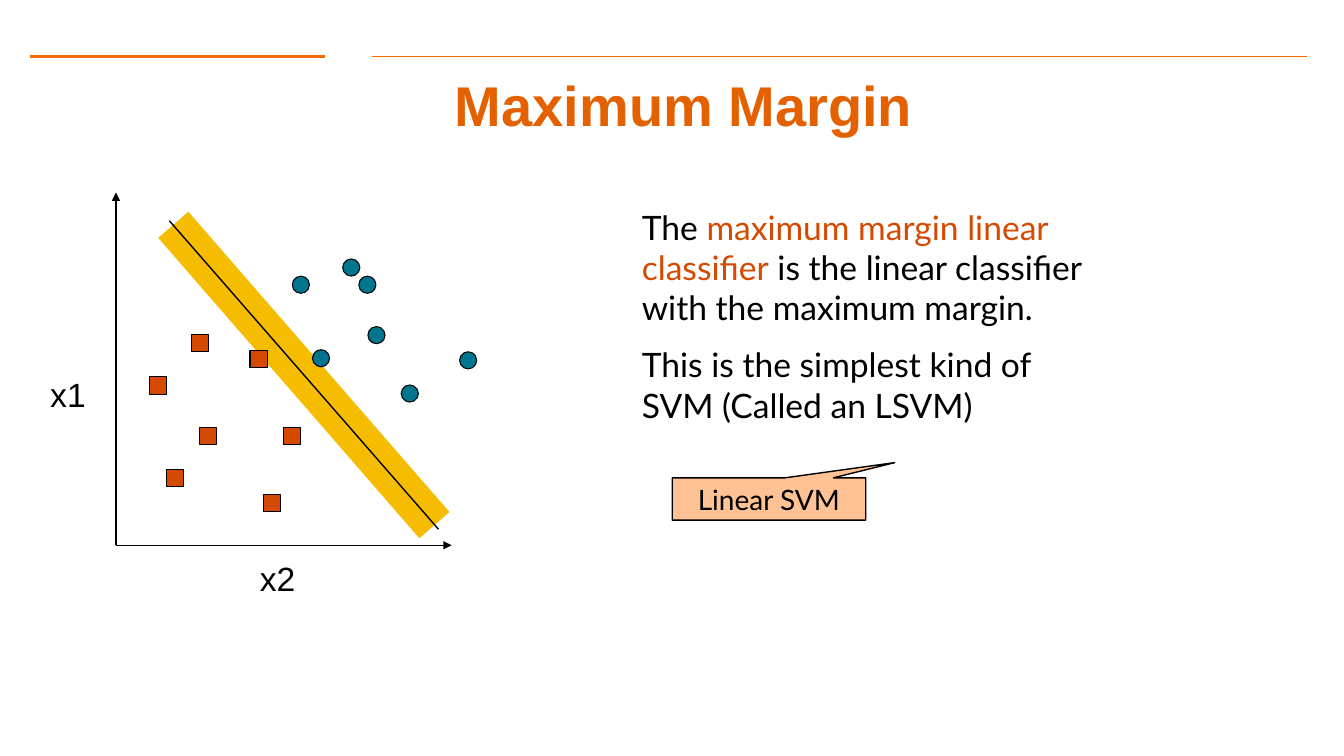
import pptx
import pptx.util
import pptx.dml.color
import pptx.enum.shapes
import pptx.enum.text
import pptx.oxml.ns
from lxml import etree

Pt = pptx.util.Pt
SHAPES = pptx.enum.shapes.MSO_SHAPE
ALIGN = pptx.enum.text.PP_ALIGN
ANCHOR = pptx.enum.text.MSO_ANCHOR

COLORS = {
    "rule": "F66900",
    "title": "E46102",
    "text": "000000",
    "square": "D64900",
    "circle": "00758E",
    "margin": "F6BD00",
    "callout": "FFC295",
}
MARKER_SIZE = 12.24
SQUARES = [
    (106.6, 269.3), (202.3, 305.3), (187.9, 353.5), (142.6, 305.3),
    (118.8, 335.5), (136.8, 239), (178.6, 250.6),
]
CIRCLES = [
    (256.3, 197.3), (328.3, 251.3), (286.6, 275), (262.8, 233.3),
    (244.8, 185), (208.8, 197.3), (223.2, 249.8),
]


def color(name):
    return pptx.dml.color.RGBColor.from_string(COLORS[name])


def set_font(font, name, size, color_name, bold=False):
    font.name = name
    font.size = Pt(size)
    font.bold = bold
    font.color.rgb = color(color_name)


def add_line(slide, start, end, color_name, width, arrow=False):
    connector = slide.shapes.add_connector(
        pptx.enum.shapes.MSO_CONNECTOR.STRAIGHT,
        *(Pt(value) for value in start + end),
    )
    connector.line.color.rgb = color(color_name)
    connector.line.width = Pt(width)
    if arrow:
        outline = connector.line._get_or_add_ln()
        etree.SubElement(outline, pptx.oxml.ns.qn("a:tailEnd"), type="triangle")
    properties = connector._element.spPr
    etree.SubElement(properties, pptx.oxml.ns.qn("a:effectLst"))


def add_shape(slide, kind, box, fill, line_width):
    shape = slide.shapes.add_shape(kind, *(Pt(value) for value in box))
    shape.shadow.inherit = False
    shape.fill.solid()
    shape.fill.fore_color.rgb = color(fill)
    shape.line.color.rgb = color("text")
    shape.line.width = Pt(line_width)
    return shape


def add_markers(slide, kind, positions, fill):
    for left, top in positions:
        add_shape(slide, kind, (left, top, MARKER_SIZE, MARKER_SIZE), fill, 0.75)


def add_text_box(slide, box):
    frame = slide.shapes.add_textbox(*(Pt(value) for value in box)).text_frame
    frame.word_wrap = True
    return frame


def add_title(slide, text):
    frame = add_text_box(slide, (56.2, 54.7, 864, 39.6))
    frame.vertical_anchor = ANCHOR.MIDDLE
    paragraph = frame.paragraphs[0]
    paragraph.text = text
    paragraph.alignment = ALIGN.CENTER
    set_font(paragraph.font, "Arial", 40, "title", bold=True)


def add_axis_label(slide, text, left, top):
    paragraph = add_text_box(slide, (left, top, 47.5, 36)).paragraphs[0]
    paragraph.text = text
    set_font(paragraph.font, "Arial", 24, "text")


def add_explanation(slide):
    frame = add_text_box(slide, (451.4, 144, 329.8, 196.6))
    definition = frame.paragraphs[0]
    for text, color_name in (
        ("The ", "text"),
        ("maximum margin linear classifier", "square"),
        (" is the linear classifier with the maximum margin.", "text"),
    ):
        run = definition.add_run()
        run.text = text
        set_font(run.font, "Lato", 24, color_name)
    remark = frame.add_paragraph()
    remark.text = "This is the simplest kind of SVM (Called an LSVM)"
    remark.space_before = Pt(12)
    set_font(remark.font, "Lato", 24, "text")


def add_callout(slide, text):
    callout = add_shape(
        slide, SHAPES.RECTANGULAR_CALLOUT, (480.2, 341.3, 138.2, 30.2), "callout", 1
    )
    callout.adjustments[0] = 0.65
    callout.adjustments[1] = -0.86
    callout.text_frame.vertical_anchor = ANCHOR.MIDDLE
    paragraph = callout.text_frame.paragraphs[0]
    paragraph.text = text
    paragraph.alignment = ALIGN.CENTER
    set_font(paragraph.font, "Lato", 20, "text")


def add_plot(slide):
    origin = (82.8, 389.5)
    add_line(slide, origin, (82.8, 137.5), "text", 1, arrow=True)
    add_line(slide, origin, (322.6, 389.5), "text", 1, arrow=True)
    add_axis_label(slide, "x1", 28.8, 263.5)
    add_axis_label(slide, "x2", 178.6, 395.3)
    add_line(slide, (310.3, 375.1), (123.8, 160.6), "margin", 28.5)
    add_line(slide, (313.2, 378), (121, 157.7), "text", 1)
    add_markers(slide, SHAPES.RECTANGLE, SQUARES, "square")
    add_markers(slide, SHAPES.OVAL, CIRCLES, "circle")


def main():
    presentation = pptx.Presentation()
    presentation.slide_width = Pt(960)
    presentation.slide_height = Pt(540)
    slide = presentation.slides.add_slide(presentation.slide_layouts[6])
    add_line(slide, (21.6, 40.3), (231.8, 40.3), "rule", 2)
    add_line(slide, (265.7, 40.3), (933.8, 40.3), "rule", 1)
    add_title(slide, "Maximum Margin")
    add_explanation(slide)
    add_callout(slide, "Linear SVM")
    add_plot(slide)
    presentation.save("out.pptx")


if __name__ == "__main__":
    main()
